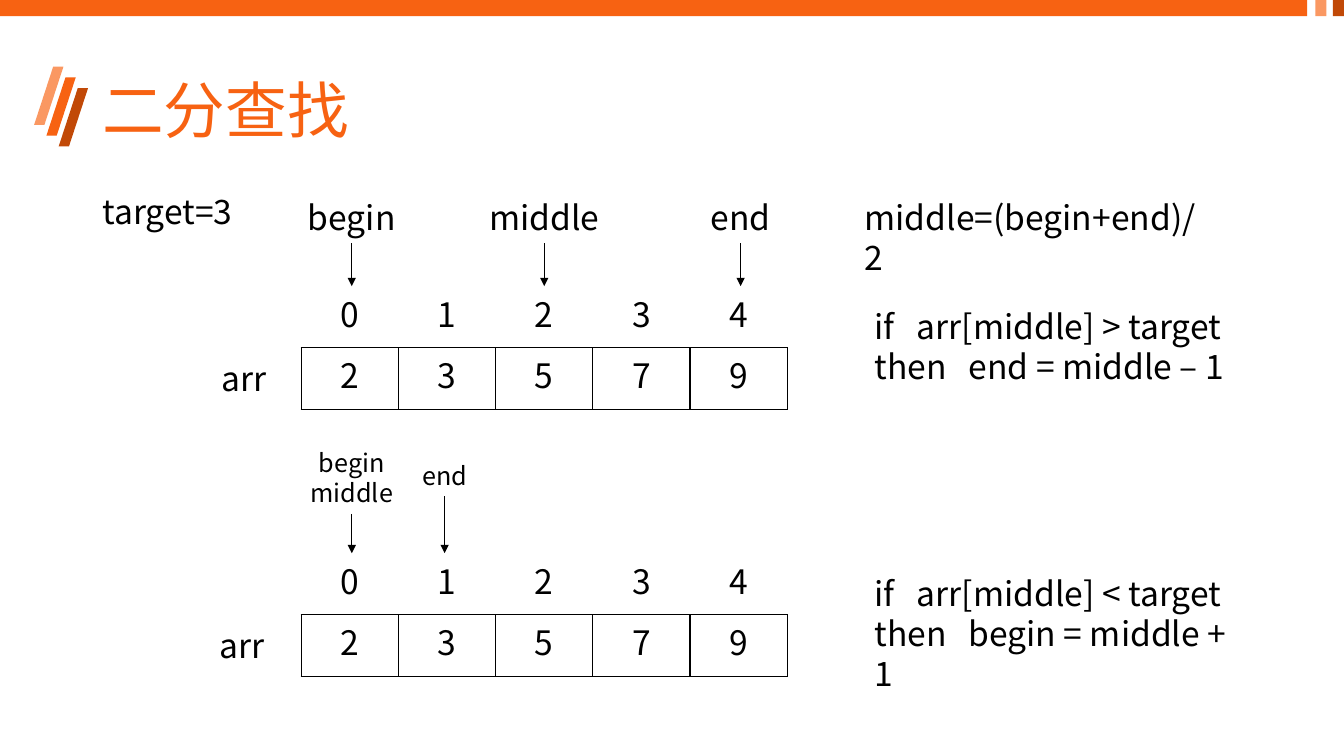
from lxml import etree
from pptx import Presentation
from pptx import util as u
from pptx.dml.color import RGBColor
from pptx.enum import shapes, text
from pptx.oxml import ns

ORANGE = RGBColor(0xF7, 0x62, 0x12)
LIGHT_ORANGE = RGBColor(0xFA, 0x98, 0x62)
DARK_ORANGE = RGBColor(0xC1, 0x49, 0x07)
BLACK = RGBColor(0, 0, 0)
LEFT, CENTER = text.PP_ALIGN.LEFT, text.PP_ALIGN.CENTER

INDEX_TOPS = (7.21, 13.94)
ARRAY_LEFT, COLUMN_WIDTH, ROW_HEIGHT = 7.59, 2.45, 1.55


def set_all(target, values):
    for name, value in values.items():
        setattr(target, name, value)


def add_child(parent, tag, **attributes):
    return etree.SubElement(parent, ns.qn(tag), attributes)


class SlideBuilder:
    font_name = "Noto Sans CJK SC"
    line_factor = 1.19

    def __init__(self, slide):
        self.slide = slide

    def fill_text(self, frame, lines, size=24, align=LEFT, color=BLACK, spacing=None, tabs=()):
        for number, line in enumerate(lines):
            paragraph = frame.paragraphs[0] if number == 0 else frame.add_paragraph()
            if tabs:
                tab_list = add_child(paragraph._p.get_or_add_pPr(), "a:tabLst")
                add_child(tab_list, "a:tab", pos=str(u.Cm(tabs[number])), algn="l")
            set_all(paragraph, {
                "alignment": align,
                "line_spacing": spacing or u.Pt(size * self.line_factor),
            })
            run = paragraph.add_run()
            run.text = line
            set_all(run.font, {"size": u.Pt(size), "bold": False, "name": self.font_name})
            run.font.color.rgb = color
            add_child(run._r.get_or_add_rPr(), "a:ea", typeface=self.font_name)

    def text_box(self, lines, left, top, width, height, anchor=text.MSO_ANCHOR.TOP,
                 fit=text.MSO_AUTO_SIZE.SHAPE_TO_FIT_TEXT, **style):
        box = self.slide.shapes.add_textbox(u.Cm(left), u.Cm(top), u.Cm(width), u.Cm(height))
        set_all(box.text_frame, {"word_wrap": True, "auto_size": fit, "vertical_anchor": anchor})
        self.fill_text(box.text_frame, lines, **style)
        return box

    def block(self, kind, left, top, width, height, color):
        shape = self.slide.shapes.add_shape(
            kind, u.Cm(left), u.Cm(top), u.Cm(width), u.Cm(height))
        shape.shadow.inherit = False
        shape.fill.solid()
        shape.fill.fore_color.rgb = color
        shape.line.fill.background()
        return shape

    def pointer(self, lines, left, top, width, height, tip, size=24):
        label = self.text_box(lines, left, top, width, height, size=size, align=CENTER)
        middle = u.Cm(left + width / 2)
        arrow = self.slide.shapes.add_connector(
            shapes.MSO_CONNECTOR.STRAIGHT, middle, u.Cm(top + height), middle, u.Cm(tip))
        arrow.begin_connect(label, 2)
        arrow.line.color.rgb = BLACK
        arrow.line.width = u.Pt(1)
        add_child(arrow.line._get_or_add_ln(), "a:tailEnd", type="triangle")
        add_child(arrow._element.spPr, "a:effectLst")

    def border(self, cell, visible):
        properties = cell._tc.get_or_add_tcPr()
        for position, side in enumerate(("a:lnL", "a:lnR", "a:lnT", "a:lnB")):
            line = etree.Element(ns.qn(side), w=str(u.Pt(1)))
            if visible:
                fill = add_child(line, "a:solidFill")
                add_child(fill, "a:srgbClr", val=str(BLACK))
            else:
                add_child(line, "a:noFill")
            properties.insert(position, line)

    def row_table(self, values, top, bordered):
        table = self.slide.shapes.add_table(
            1, len(values), u.Cm(ARRAY_LEFT), u.Cm(top),
            u.Cm(COLUMN_WIDTH * len(values)), u.Cm(ROW_HEIGHT)).table
        set_all(table, {"first_row": False, "horz_banding": False})
        for column, value in enumerate(values):
            table.columns[column].width = u.Cm(COLUMN_WIDTH)
            cell = table.cell(0, column)
            cell.fill.background()
            cell.vertical_anchor = text.MSO_ANCHOR.MIDDLE
            self.fill_text(cell.text_frame, [str(value)], align=CENTER)
            self.border(cell, bordered)


def main():
    presentation = Presentation()
    set_all(presentation, {"slide_width": u.Cm(33.87), "slide_height": u.Cm(19.05)})
    builder = SlideBuilder(presentation.slides.add_slide(presentation.slide_layouts[6]))

    stripe_colors = (LIGHT_ORANGE, ORANGE, DARK_ORANGE)
    for number, color in enumerate(stripe_colors):
        stripe = builder.block(shapes.MSO_SHAPE.PARALLELOGRAM,
                               0.86 + 0.31 * number, 1.68 + 0.27 * number, 0.74, 1.47, color)
        stripe.adjustments[0] = 0.65
    for left, width, color in ((0, 32.94, ORANGE), (33.15, 0.28, LIGHT_ORANGE),
                               (33.59, 0.28, DARK_ORANGE)):
        builder.block(shapes.MSO_SHAPE.RECTANGLE, left, 0, width, 0.41, color)

    builder.text_box(["二分查找"], 2.33, 1.01, 29.21, 3.68, anchor=text.MSO_ANCHOR.MIDDLE,
                     fit=text.MSO_AUTO_SIZE.NONE, size=44, color=ORANGE, spacing=0.9)
    builder.text_box(["target=3"], 2.33, 4.7, 4.55, 1.28)
    builder.text_box(["middle=(begin+end)/2"], 21.54, 4.85, 9.27, 1.28)

    for top, name_left in zip(INDEX_TOPS, (5.33, 5.28)):
        builder.row_table((2, 3, 5, 7, 9), top + ROW_HEIGHT, True)
        builder.row_table(range(5), top, False)
        builder.text_box(["arr"], name_left, top + 1.68, 1.8, 1.28)

    first_top, second_top = INDEX_TOPS
    for name, left, width in (("begin", 7.47, 2.79), ("middle", 11.81, 3.81),
                              ("end", 17.27, 2.79)):
        builder.pointer([name], left, 4.85, width, 1.28, first_top)
    builder.pointer(["begin", "middle"], 7.47, 11.15, 2.79, 1.8, second_top, size=18)
    builder.pointer(["end"], 9.3, 11.48, 3.81, 1.02, second_top, size=18)

    rules = (("if\tarr[middle] > target", "then\tend = middle – 1"),
             ("if\tarr[middle] < target", "then\tbegin = middle + 1"))
    for top, rule in zip(INDEX_TOPS, rules):
        builder.text_box(rule, 21.79, top + 0.38, 10.01, 2.31, tabs=(1.07, 2.37))

    presentation.save("out.pptx")


if __name__ == "__main__":
    main()
